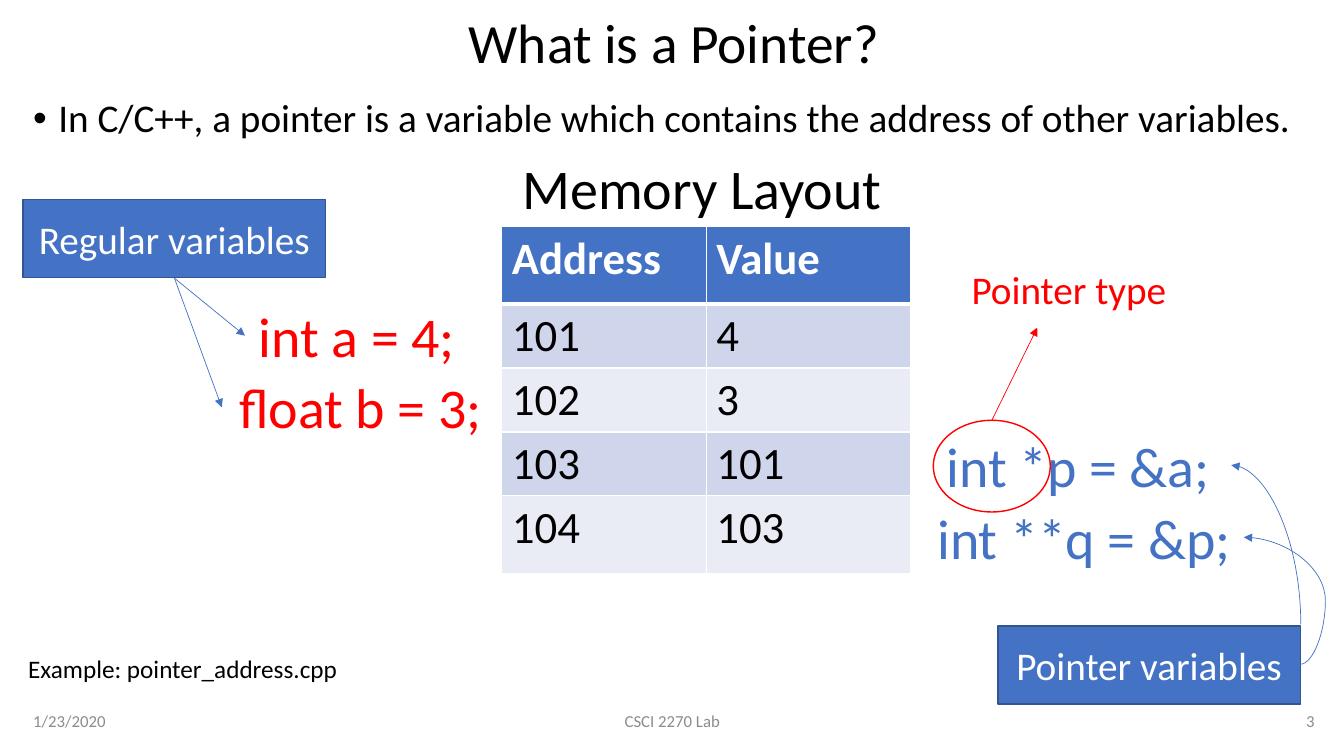
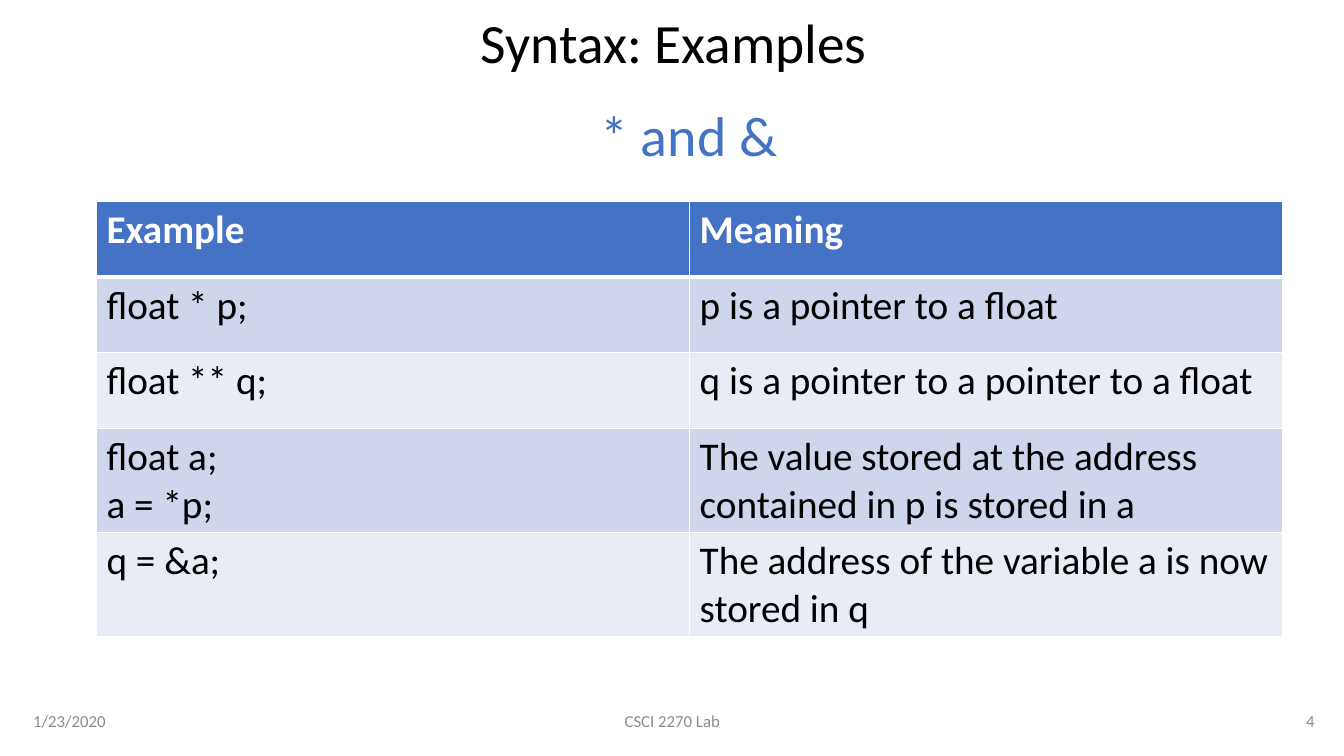
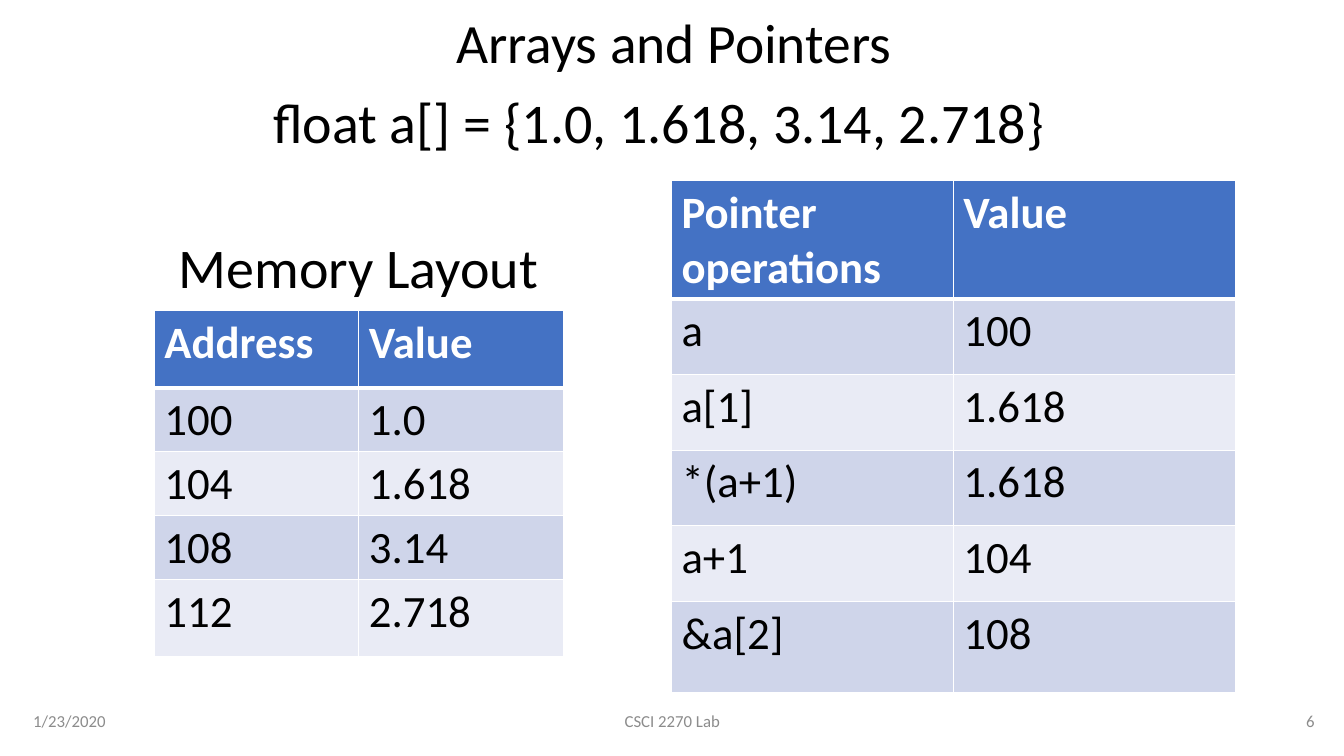
import pptx
import pptx.util
import pptx.dml.color
import pptx.enum.shapes
import pptx.enum.text
import pptx.oxml
import pptx.oxml.ns

Pt = pptx.util.Pt
ALIGN = pptx.enum.text.PP_ALIGN
ANCHOR = pptx.enum.text.MSO_ANCHOR
SHAPE = pptx.enum.shapes.MSO_SHAPE
CONNECTOR = pptx.enum.shapes.MSO_CONNECTOR
qn = pptx.oxml.ns.qn
NAMESPACE = pptx.oxml.ns.nsdecls("a")

COLORS = {
    "black": "000000", "white": "FFFFFF", "red": "FF0000", "blue": "4472C4",
    "outline": "325491", "footer": "8C8C8C", "odd": "CFD5EA", "even": "E9EBF5",
}
FONT = "Calibri"
WIDTH, HEIGHT = 960, 540
MARGIN = 16.56
TITLE_BOX = (MARGIN, 10.8, 929.5, 43.2)
FOOTERS = [
    ("1/23/2020", MARGIN, 216, ALIGN.LEFT),
    ("CSCI 2270 Lab", 318.24, 324, ALIGN.CENTER),
    ("{number}", 730.08, 216, ALIGN.RIGHT),
]
FOOTER_TOP, FOOTER_HEIGHT = 500.4, 28.8
LINE_40, LINE_28, LINE_18 = 55.7, 41.2, 29.1
MEMORY_ROWS = [55.3, 41, 41, 44.6, 55.3]
LABEL_SIZE = (216, 55.7)

SLIDES = [
    {
        "title": "What is a Pointer?",
        "number": 3,
        "bullet": "In C/C++, a pointer is a variable which contains the address of other variables.",
        "tables": [{
            "at": (358.5, 162), "column": 146, "rows": MEMORY_ROWS, "size": 32,
            "cells": [("Address", "Value"), ("101", "4"), ("102", "3"),
                      ("103", "101"), ("104", "103")],
        }],
        "texts": [
            ("int a = 4;", (175, 211.7, 159.8, LINE_40), 40, "red", ALIGN.CENTER),
            ("float b = 3;", (158.4, 262.8, 198, LINE_40), 40, "red", ALIGN.CENTER),
            ("int *p = &a;", (661, 304.6, 218.2, LINE_40), 40, "blue", ALIGN.CENTER),
            ("int **q = &p;", (661, 356.4, 226.8, LINE_40), 40, "blue", ALIGN.CENTER),
            ("Pointer type", (686.9, 185.8, 175, LINE_28), 28, "red", ALIGN.LEFT),
            ("Example: pointer_address.cpp", (13, 463, 246.2, LINE_18), 18, "black", ALIGN.LEFT),
            ("Memory Layout", (355.7, 105.8, 291.6, LINE_40), 40, "black", ALIGN.CENTER),
        ],
        "labels": [("Regular variables", (MARGIN, 142.6)),
                   ("Pointer variables", (712.8, 447.1))],
        "circles": [(666.7, 300.2, 83.5, 65.5)],
        "arrows": [
            ((124.6, 198.7), (175, 239.8), "blue"),
            ((124.6, 198.7), (158.4, 290.9), "blue"),
            ((708.5, 300.2), (740.9, 234), "red"),
        ],
        "curves": [
            {"from": (847.4, 414), "to": (961.2, 364.3),
             "preset": "curvedConnector2", "turn": 270},
            {"from": (928.8, 474.5), "to": (888.5, 383.8),
             "preset": "curvedConnector3", "bend": -44600},
        ],
    },
    {
        "title": "Syntax: Examples",
        "number": 4,
        "tables": [{
            "at": (68.9, 143.9), "column": 423.7, "rows": [54, 54, 54, 59, 54], "size": 28,
            "cells": [
                ("Example", "Meaning"),
                ("float * p;", "p is a pointer to a float"),
                ("float ** q;", "q is a pointer to a pointer to a float"),
                ("float a;\na = *p;", "The value stored at the address contained in p is stored in a"),
                ("q = &a;", "The address of the variable a is now stored in q"),
            ],
        }],
        "texts": [("* and &", (383, 68.4, 218.2, LINE_40), 40, "blue", ALIGN.CENTER)],
    },
    {
        "title": "Arrays and Pointers",
        "number": 6,
        "tables": [
            {"at": (110.3, 221.8), "column": 146, "rows": MEMORY_ROWS, "size": 32,
             "cells": [("Address", "Value"), ("100", "1.0"), ("104", "1.618"),
                       ("108", "3.14"), ("112", "2.718")]},
            {"at": (479.6, 129), "column": 201.4, "rows": [84.6, 54, 54, 54, 54, 65.3], "size": 32,
             "cells": [("Pointer operations", "Value"), ("a", "100"), ("a[1]", "1.618"),
                       ("*(a+1)", "1.618"), ("a+1", "104"), ("&a[2]", "108")]},
        ],
        "texts": [
            ("float a[] = {1.0, 1.618, 3.14, 2.718}", (182.2, 59, 576.7, LINE_40), 40,
             "black", ALIGN.CENTER),
            ("Memory Layout", (110.2, 162.7, 291.6, LINE_40), 40, "black", ALIGN.CENTER),
        ],
    },
]


def points(values):
    return [Pt(value) for value in values]


def rgb(color):
    return pptx.dml.color.RGBColor.from_string(COLORS[color])


def write(frame, text, size, color, align=ALIGN.LEFT, bold=False):
    frame.text = text
    frame.word_wrap = True
    for paragraph in frame.paragraphs:
        paragraph.alignment = align
        for run in paragraph.runs:
            run.font.name = FONT
            run.font.size = Pt(size)
            run.font.bold = bold
            run.font.color.rgb = rgb(color)


def add_text(slide, text, box, size, color, align=ALIGN.LEFT, anchor=ANCHOR.TOP):
    frame = slide.shapes.add_textbox(*points(box)).text_frame
    write(frame, text, size, color, align)
    frame.vertical_anchor = anchor
    return frame


def add_frame(slide, title, number):
    heading = add_text(slide, title, TITLE_BOX, 39.6, "black", ALIGN.CENTER, ANCHOR.MIDDLE)
    heading.paragraphs[0].line_spacing = 0.9
    for text, left, width, align in FOOTERS:
        add_text(slide, text.format(number=number), (left, FOOTER_TOP, width, FOOTER_HEIGHT),
                 12, "footer", align, ANCHOR.MIDDLE)


def add_bullet(slide, text):
    frame = add_text(slide, text, (MARGIN, 67, 929.5, 419.8), 28, "black")
    paragraph = frame.paragraphs[0]
    paragraph.line_spacing = 0.9
    paragraph.space_before = Pt(10)
    properties = paragraph._p.get_or_add_pPr()
    properties.set("marL", str(Pt(18)))
    properties.set("indent", str(-Pt(18)))
    properties.append(pptx.oxml.parse_xml(f'<a:buFont {NAMESPACE} typeface="Arial"/>'))
    properties.append(pptx.oxml.parse_xml(f'<a:buChar {NAMESPACE} char="•"/>'))


def add_borders(cell, row):
    widths = {"L": 1, "R": 1, "T": 3 if row == 1 else 1, "B": 3 if row == 0 else 1}
    properties = cell._tc.get_or_add_tcPr()
    for side, width in widths.items():
        properties.append(pptx.oxml.parse_xml(
            f'<a:ln{side} {NAMESPACE} w="{Pt(width)}"><a:solidFill>'
            f'<a:srgbClr val="{COLORS["white"]}"/></a:solidFill></a:ln{side}>'))


def add_grid(slide, grid):
    cells, heights = grid["cells"], grid["rows"]
    columns = len(cells[0])
    box = (*grid["at"], grid["column"] * columns, sum(heights))
    table = slide.shapes.add_table(len(cells), columns, *points(box)).table
    for column in table.columns:
        column.width = Pt(grid["column"])
    for row, texts in enumerate(cells):
        table.rows[row].height = Pt(heights[row])
        header = row == 0
        fill = "blue" if header else ("even", "odd")[row % 2]
        for column, text in enumerate(texts):
            cell = table.cell(row, column)
            write(cell.text_frame, text, grid["size"], "white" if header else "black", bold=header)
            add_borders(cell, row)
            cell.fill.solid()
            cell.fill.fore_color.rgb = rgb(fill)


def add_outlined(slide, preset, box, outline, fill=None):
    shape = slide.shapes.add_shape(preset, *points(box))
    shape.shadow.inherit = False
    shape.line.color.rgb = rgb(outline)
    shape.line.width = Pt(1)
    if fill:
        shape.fill.solid()
        shape.fill.fore_color.rgb = rgb(fill)
    else:
        shape.fill.background()
    return shape


def add_label(slide, text, corner):
    label = add_outlined(slide, SHAPE.RECTANGLE, (*corner, *LABEL_SIZE), "outline", "blue")
    write(label.text_frame, text, 28, "white", ALIGN.CENTER)
    label.text_frame.vertical_anchor = ANCHOR.MIDDLE


def add_arrow(slide, start, end, color, kind=CONNECTOR.STRAIGHT):
    arrow = slide.shapes.add_connector(kind, *points((*start, *end)))
    arrow.line.color.rgb = rgb(color)
    arrow.line.width = Pt(0.5)
    arrow.line._get_or_add_ln().append(
        pptx.oxml.parse_xml(f'<a:tailEnd {NAMESPACE} type="triangle"/>'))
    arrow.element.spPr.append(pptx.oxml.parse_xml(f"<a:effectLst {NAMESPACE}/>"))
    return arrow


def add_curve(slide, curve):
    arrow = add_arrow(slide, curve["from"], curve["to"], "blue", CONNECTOR.CURVE)
    properties = arrow.element.spPr
    geometry = properties.find(qn("a:prstGeom"))
    geometry.set("prst", curve["preset"])
    if "turn" in curve:
        properties.find(qn("a:xfrm")).set("rot", str(curve["turn"] * 60000))
    if "bend" in curve:
        geometry.find(qn("a:avLst")).append(pptx.oxml.parse_xml(
            f'<a:gd {NAMESPACE} name="adj1" fmla="val {curve["bend"]}"/>'))


deck = pptx.Presentation()
deck.slide_width, deck.slide_height = points((WIDTH, HEIGHT))
for content in SLIDES:
    slide = deck.slides.add_slide(deck.slide_layouts[6])
    add_frame(slide, content["title"], content["number"])
    if "bullet" in content:
        add_bullet(slide, content["bullet"])
    for grid in content["tables"]:
        add_grid(slide, grid)
    for text in content["texts"]:
        frame = add_text(slide, *text)
        frame.auto_size = pptx.enum.text.MSO_AUTO_SIZE.SHAPE_TO_FIT_TEXT
    for label in content.get("labels", []):
        add_label(slide, *label)
    for circle in content.get("circles", []):
        add_outlined(slide, SHAPE.OVAL, circle, "red")
    for arrow in content.get("arrows", []):
        add_arrow(slide, *arrow)
    for curve in content.get("curves", []):
        add_curve(slide, curve)
deck.save("out.pptx")
